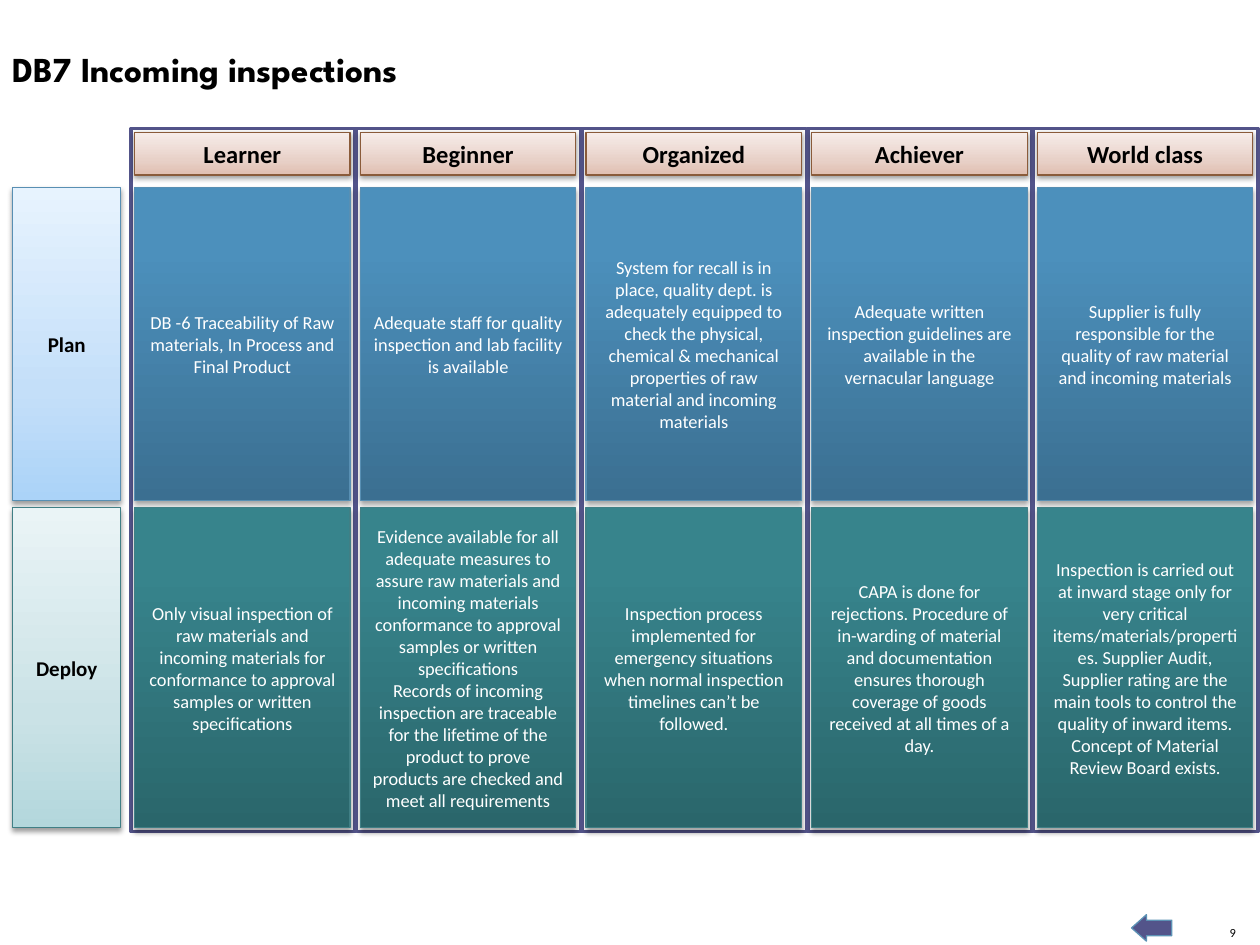
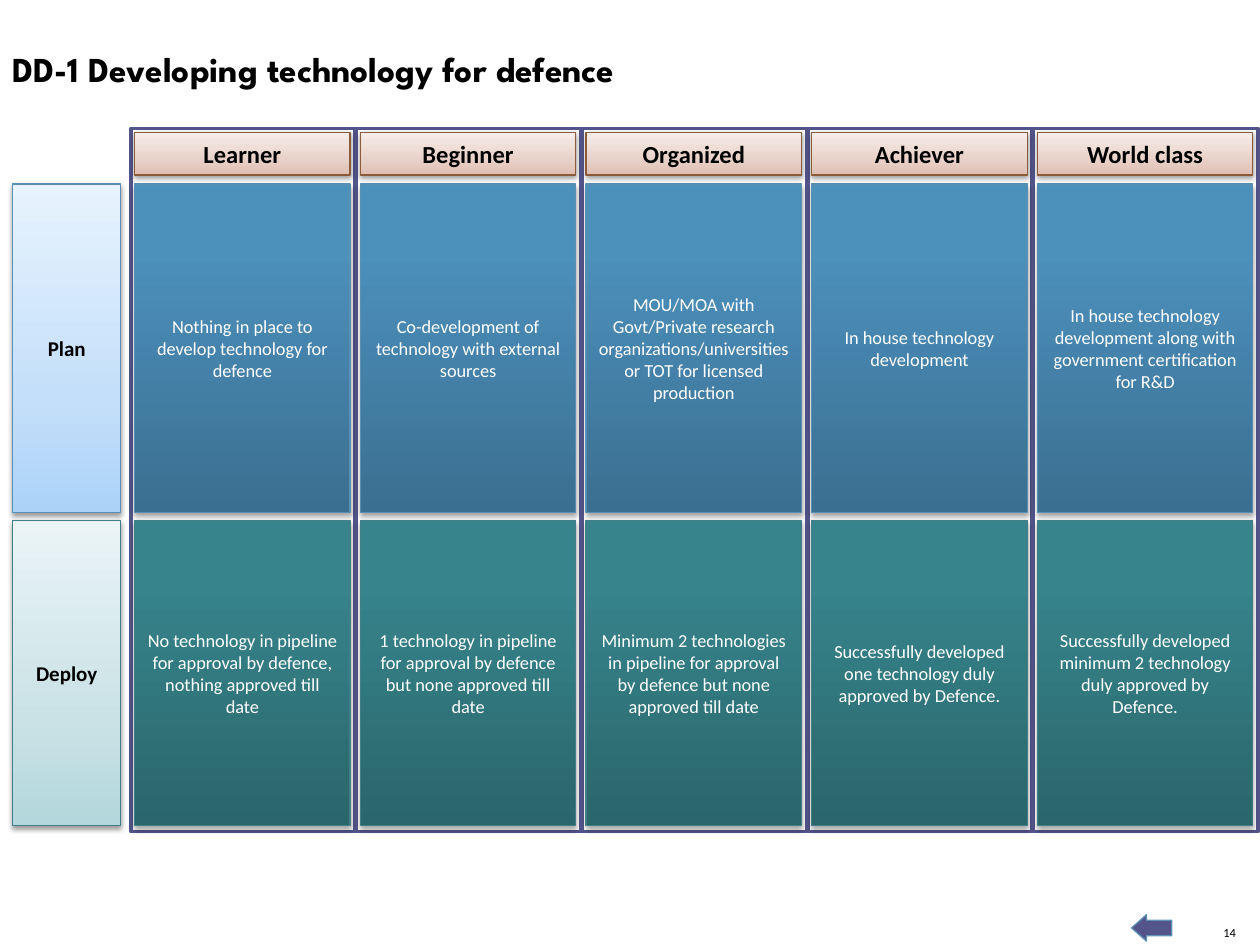
from dataclasses import dataclass

from lxml.etree import SubElement
from pptx import Presentation
from pptx.dml.color import RGBColor
from pptx.enum.shapes import MSO_SHAPE
from pptx.enum.text import MSO_ANCHOR, MSO_AUTO_SIZE, PP_ALIGN
from pptx.oxml.ns import qn
from pptx.util import Pt

BLACK = RGBColor(0x00, 0x00, 0x00)
WHITE = RGBColor(0xFF, 0xFF, 0xFF)
INDIGO = RGBColor(0x53, 0x54, 0x8A)
ARROW_EDGE = RGBColor(0x5C, 0x92, 0xB5)
BLUE_EDGE = RGBColor(0x58, 0x8F, 0xB3)
TEAL_EDGE = RGBColor(0x40, 0x7F, 0x85)
BROWN_EDGE = RGBColor(0x8A, 0x5B, 0x3A)

BODY_FONT = "Calibri"
TITLE_FONT = "League Spartan"


@dataclass
class Look:
    """Gradient stops (bottom to top), edge, shadow and text of a kind of box."""
    stops: tuple
    edge: RGBColor
    size: float
    color: RGBColor = BLACK
    bold: bool = True
    shadow_percent: int = 38
    shadow_distance: float = 1.6


def pale(bottom, middle, top, edge, size):
    return Look(((0, bottom), (35, middle), (100, top)), edge, size)


def deep(bottom, middle, top, edge):
    return Look(((0, bottom), (80, middle), (100, top)), edge, 10.5, WHITE, False, 35, 1.8)


LEVEL_LOOK = pale(RGBColor(0xE0, 0xBE, 0xB0), RGBColor(0xE8, 0xD1, 0xC8),
                  RGBColor(0xF7, 0xED, 0xEA), BROWN_EDGE, 14)
PLAN_LABEL = pale(RGBColor(0xAB, 0xD3, 0xF8), RGBColor(0xC4, 0xDF, 0xF9),
                  RGBColor(0xE7, 0xF3, 0xFE), BLUE_EDGE, 12)
DEPLOY_LABEL = pale(RGBColor(0xB3, 0xD7, 0xDC), RGBColor(0xCA, 0xE2, 0xE6),
                    RGBColor(0xEA, 0xF4, 0xF6), TEAL_EDGE, 12)
PLAN_CELL = deep(RGBColor(0x3B, 0x6F, 0x91), RGBColor(0x4C, 0x90, 0xBC),
                 RGBColor(0x4A, 0x91, 0xBF), BLUE_EDGE)
DEPLOY_CELL = deep(RGBColor(0x2A, 0x66, 0x6B), RGBColor(0x37, 0x84, 0x8C),
                   RGBColor(0x36, 0x86, 0x8E), TEAL_EDGE)
ROWS = (("Plan", PLAN_LABEL, PLAN_CELL), ("Deploy", DEPLOY_LABEL, DEPLOY_CELL))

LEVELS = ("Learner", "Beginner", "Organized", "Achiever", "World class")
FRAME_LEFT, FRAME_TOP, FRAME_WIDTH, FRAME_HEIGHT = 74.8, 73.4, 128.2, 401.8
COLUMN_STEP = 128.95
CELL_INSET, CELL_WIDTH = 2.2, 123.1
LEVEL_TOP, LEVEL_HEIGHT = 75.6, 24.5
LABEL_LEFT, LABEL_WIDTH = 7.2, 61.9

# Each row: top, height, one text per level
INSPECTION_ROWS = (
    (107.3, 178.6, (
        "DB -6 Traceability of Raw materials, In Process and Final Product",
        "Adequate staff for quality inspection and lab facility is available",
        "System for recall is in place, quality dept. is adequately equipped to check the "
        "physical, chemical & mechanical properties of raw material and incoming materials",
        "Adequate written inspection guidelines are available in the vernacular language",
        "Supplier is fully responsible for the quality of raw material and incoming materials",
    )),
    (290.2, 182.9, (
        "Only visual inspection of raw materials and incoming materials for conformance to "
        "approval samples or written specifications",
        "Evidence available for all adequate measures to assure raw materials and incoming "
        "materials conformance to approval samples or written specifications\n"
        "Records of incoming inspection are traceable for the lifetime of the product to "
        "prove products are checked and meet all requirements",
        "Inspection process implemented for emergency situations when normal inspection "
        "timelines can’t be followed.",
        "CAPA is done for rejections. Procedure of in-warding of material and documentation "
        "ensures thorough coverage of goods received at all times of a day.",
        "Inspection is carried out at inward stage only for very critical "
        "items/materials/properties. Supplier Audit, Supplier rating are the main tools to "
        "control the quality of inward items. Concept of Material Review Board exists.",
    )),
)
DEFENCE_ROWS = (
    (105.1, 187.9, (
        "Nothing in place to develop technology for defence",
        "Co-development of technology with external sources",
        "MOU/MOA with Govt/Private research organizations/universities or TOT for licensed "
        "production",
        "In house technology development",
        "In house technology development along with government certification for R&D",
    )),
    (297.4, 174.2, (
        "No technology in pipeline for approval by defence, nothing approved till date",
        "1 technology in pipeline for approval by defence but none approved till date",
        "Minimum 2 technologies in pipeline for approval by defence but none approved till date",
        "Successfully developed one technology duly approved by Defence.",
        "Successfully developed minimum 2 technology duly approved by Defence.",
    )),
)


class MaturityDeck:
    def __init__(self):
        self.deck = Presentation()
        self.deck.slide_width, self.deck.slide_height = Pt(720), Pt(540)
        self.page = None

    def add_page(self, title, number):
        self.page = self.deck.slides.add_slide(self.deck.slide_layouts[6])
        self.page_number(number)
        self.back_arrow()
        self.title(title)

    def add_text(self, frame, text, size, color=BLACK, bold=False,
                 font=BODY_FONT, align=PP_ALIGN.LEFT):
        for index, line in enumerate(text.split("\n")):
            para = frame.add_paragraph() if index else frame.paragraphs[0]
            para.alignment = align
            span = para.add_run()
            span.text = line
            span.font.name, span.font.size = font, Pt(size)
            span.font.bold, span.font.color.rgb = bold, color

    def text_area(self, left, top, width, height):
        box = self.page.shapes.add_textbox(Pt(left), Pt(top), Pt(width), Pt(height))
        box.text_frame.auto_size = MSO_AUTO_SIZE.SHAPE_TO_FIT_TEXT
        return box.text_frame

    def title(self, text):
        frame = self.text_area(0, 23.8, 619.2, 31.7)
        frame.word_wrap = True
        self.add_text(frame, text, 20, bold=True, font=TITLE_FONT)

    def page_number(self, number):
        frame = self.text_area(697.7, 528.5, 8.6, 8.6)
        frame.word_wrap = False
        frame.vertical_anchor = MSO_ANCHOR.BOTTOM
        frame.margin_left = frame.margin_right = frame.margin_top = frame.margin_bottom = 0
        self.add_text(frame, str(number), 7.1, align=PP_ALIGN.RIGHT)

    def shape(self, kind, left, top, width, height, edge, edge_width=0.75):
        shape = self.page.shapes.add_shape(kind, Pt(left), Pt(top), Pt(width), Pt(height))
        shape.shadow.inherit = False
        shape.line.color.rgb, shape.line.width = edge, Pt(edge_width)
        return shape

    def solid(self, shape, color):
        shape.fill.solid()
        shape.fill.fore_color.rgb = color

    def back_arrow(self):
        arrow = self.shape(MSO_SHAPE.RIGHT_ARROW, 646.6, 522.7, 23, 15.1, ARROW_EDGE)
        arrow.rotation = 180
        arrow.adjustments[0], arrow.adjustments[1] = 0.59, 0.56
        self.solid(arrow, INDIGO)

    def column_frame(self, left):
        frame = self.shape(MSO_SHAPE.RECTANGLE, left, FRAME_TOP, FRAME_WIDTH,
                           FRAME_HEIGHT, INDIGO, 2)
        self.solid(frame, WHITE)

    def gradient(self, shape, stops):
        shape.fill.gradient()
        shape.fill.gradient_angle = 90
        stop_list = shape.element.spPr.find(qn("a:gradFill")).find(qn("a:gsLst"))
        for old_stop in list(stop_list):
            stop_list.remove(old_stop)
        for percent, color in stops:
            stop = SubElement(stop_list, qn("a:gs"), pos=str(percent * 1000))
            SubElement(stop, qn("a:srgbClr"), val=str(color))

    def drop_shadow(self, shape, percent, distance):
        effects = shape.element.spPr.find(qn("a:effectLst"))
        shadow = SubElement(effects, qn("a:outerShdw"), blurRad=str(Pt(3.1)),
                            dist=str(Pt(distance)), dir="5400000", rotWithShape="0")
        color = SubElement(shadow, qn("a:srgbClr"), val=str(BLACK))
        SubElement(color, qn("a:alpha"), val=str(percent * 1000))

    def panel(self, text, left, top, width, height, look):
        panel = self.shape(MSO_SHAPE.RECTANGLE, left, top, width, height, look.edge)
        self.gradient(panel, look.stops)
        self.drop_shadow(panel, look.shadow_percent, look.shadow_distance)
        panel.text_frame.word_wrap = True
        panel.text_frame.vertical_anchor = MSO_ANCHOR.MIDDLE
        self.add_text(panel.text_frame, text, look.size, look.color, look.bold,
                      align=PP_ALIGN.CENTER)

    def maturity_grid(self, rows):
        frame_lefts = [FRAME_LEFT + COLUMN_STEP * index for index in range(len(LEVELS))]
        cell_lefts = [left + CELL_INSET for left in frame_lefts]
        for (label, label_look, _), (top, height, _) in zip(ROWS, rows):
            self.panel(label, LABEL_LEFT, top, LABEL_WIDTH, height, label_look)
        for left in frame_lefts:
            self.column_frame(left)
        for (_, _, cell_look), (top, height, texts) in zip(ROWS, rows):
            for left, text in zip(cell_lefts, texts):
                self.panel(text, left, top, CELL_WIDTH, height, cell_look)
        for left, level in zip(cell_lefts, LEVELS):
            self.panel(level, left, LEVEL_TOP, CELL_WIDTH, LEVEL_HEIGHT, LEVEL_LOOK)


def main():
    maturity = MaturityDeck()
    maturity.add_page("DB7 Incoming inspections", 9)
    maturity.maturity_grid(INSPECTION_ROWS)
    maturity.add_page("DD-1 Developing technology for defence", 14)
    maturity.maturity_grid(DEFENCE_ROWS)
    maturity.deck.save("out.pptx")


if __name__ == "__main__":
    main()
